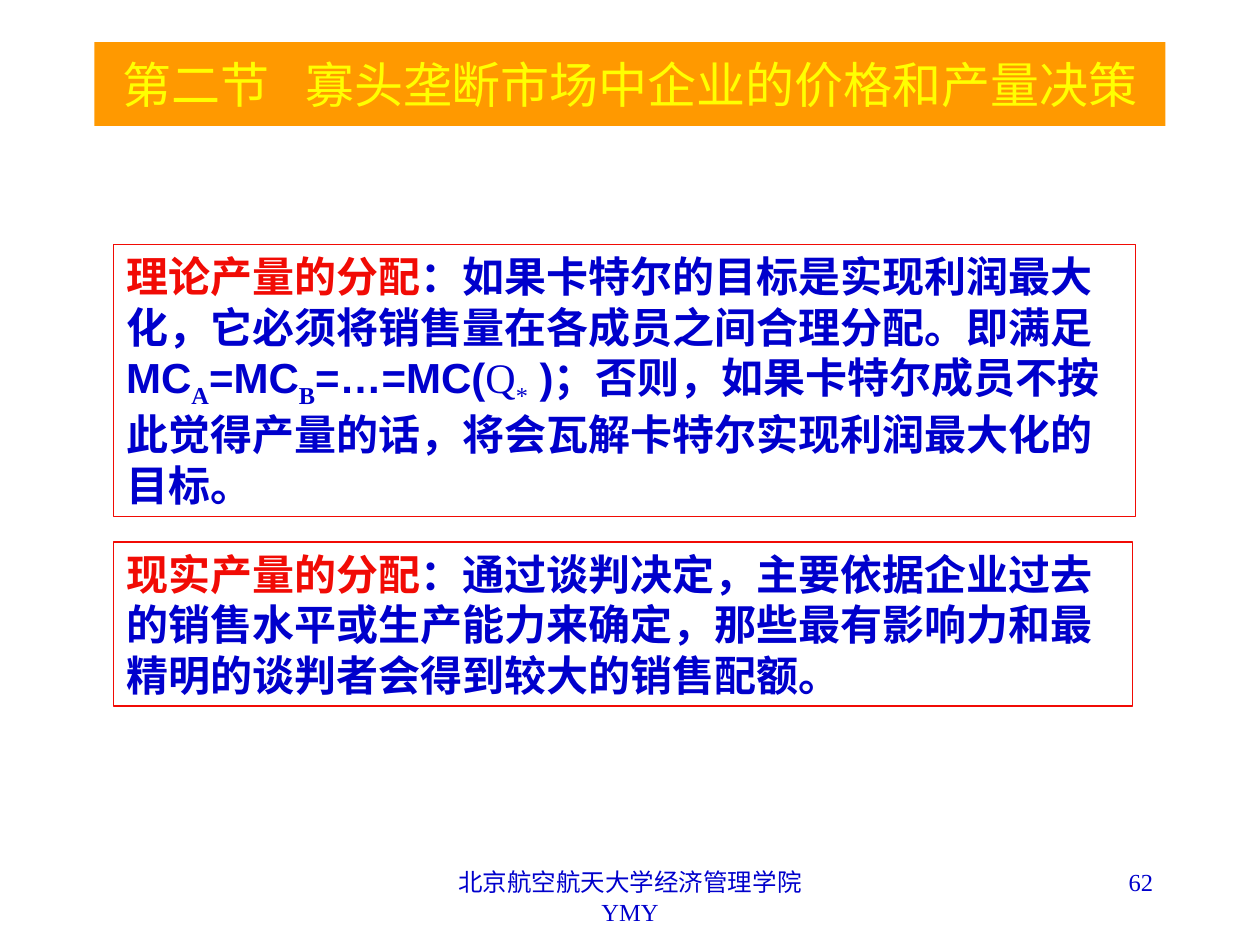
from pptx import Presentation
from pptx.dml.color import RGBColor
from pptx.enum.shapes import MSO_SHAPE
from pptx.enum.text import MSO_ANCHOR, PP_ALIGN
from pptx.util import Pt

RECT = MSO_SHAPE.RECTANGLE
TOP, MIDDLE = MSO_ANCHOR.TOP, MSO_ANCHOR.MIDDLE
LEFT, CENTER, RIGHT = PP_ALIGN.LEFT, PP_ALIGN.CENTER, PP_ALIGN.RIGHT
SERIF, SANS = "Times New Roman", "Arial"
BLUE, RED, ORANGE, YELLOW = "0000CC", "F10B05", "FF9900", "FFFF00"

FOOTER = {"size": Pt(14), "name": SERIF}
TITLE = {"size": Pt(28), "name": SERIF}
BODY = {"size": Pt(24), "name": SANS, "bold": True}
SYMBOL = BODY | {"name": SERIF, "bold": False}
SUBSCRIPT = {"baseline": "-25000"}
WIDE_SPACE = {"spc": "1400"}


def rgb(value):
    """Turn a hex string into a colour."""
    return RGBColor.from_string(value)


def add_run(p, text, fmt, color=BLUE, extra=None):
    """Add a run with font values and extra character attributes."""
    r = p.add_run()
    r.text = text
    for key, value in fmt.items():
        setattr(r.font, key, value)
    r.font.color.rgb = rgb(color)
    for key, value in (extra or {}).items():
        r.font._element.set(key, value)


def prepare_text(sp, align, anchor=TOP):
    """Set wrapping and alignment and return the first paragraph."""
    tf = sp.text_frame
    tf.word_wrap = True
    tf.vertical_anchor = anchor
    p = tf.paragraphs[0]
    p.alignment = align
    return p


def add_label(s, box, align, lines):
    """Add a footer text box with line breaks between its lines."""
    p = prepare_text(s.shapes.add_textbox(*map(Pt, box)), align)
    for i, line in enumerate(lines):
        if i:
            p.add_line_break()
        add_run(p, line, FOOTER)


def add_box(s, box, align, anchor, fill=None, line=None):
    """Add a rectangle and return its paragraph."""
    sp = s.shapes.add_shape(RECT, *map(Pt, box))
    sp.shadow.inherit = False
    if fill:
        sp.fill.solid()
        sp.fill.fore_color.rgb = rgb(fill)
    else:
        sp.fill.background()
    if line:
        sp.line.color.rgb = rgb(line)
        sp.line.width = Pt(0.75)
    else:
        sp.line.fill.background()
    return prepare_text(sp, align, anchor)


def add_title(s, box, section, heading):
    """Add the title band with a wide gap after the section number."""
    p = add_box(s, box, CENTER, MIDDLE, fill=ORANGE)
    add_run(p, section, TITLE, YELLOW)
    add_run(p, " ", TITLE, YELLOW, WIDE_SPACE)
    add_run(p, heading, TITLE, YELLOW)


def add_statement(s, box, term, runs):
    """Add an outlined box with a red term and its explanation."""
    p = add_box(s, box, LEFT, TOP, line=RED)
    add_run(p, term, BODY, RED)
    for text, fmt, extra in runs:
        add_run(p, text, fmt, extra=extra)


def main():
    """Build the slide."""
    prs = Presentation()
    prs.slide_width, prs.slide_height = Pt(720), Pt(540)
    s = prs.slides.add_slide(prs.slide_layouts[6])
    add_label(s, (246, 492, 228, 36), CENTER, ["北京航空航天大学经济管理学院", "YMY"])
    add_label(s, (516, 492, 150, 36), RIGHT, ["62"])
    add_title(s, (54, 24, 612, 48), "第二节", "寡头垄断市场中企业的价格和产量决策")
    serif_bold = BODY | {"name": SERIF}
    add_statement(s, (65, 139.75, 584, 155.25), "理论产量的分配", [
        ("：如果卡特尔的目标是实现利润最大化，它必须将销售量在各成员之间合理分配。即满足MC", BODY, None),
        ("A", serif_bold, SUBSCRIPT),
        ("=MC", BODY, None),
        ("B", serif_bold, SUBSCRIPT),
        ("=…=MC(", BODY, None),
        ("Q", SYMBOL, None),
        ("*", SYMBOL, SUBSCRIPT),
        (" )；否则，如果卡特尔成员不按此觉得产量的话，将会瓦解卡特尔实现利润最大化的目标。", BODY, None),
    ])
    add_statement(s, (65, 309.75, 582, 93.75), "现实产量的分配", [
        ("：通过谈判决定，主要依据企业过去的销售水平或生产能力来确定，"
         "那些最有影响力和最精明的谈判者会得到较大的销售配额。", BODY, None),
    ])
    prs.save("out.pptx")


if __name__ == "__main__":
    main()
